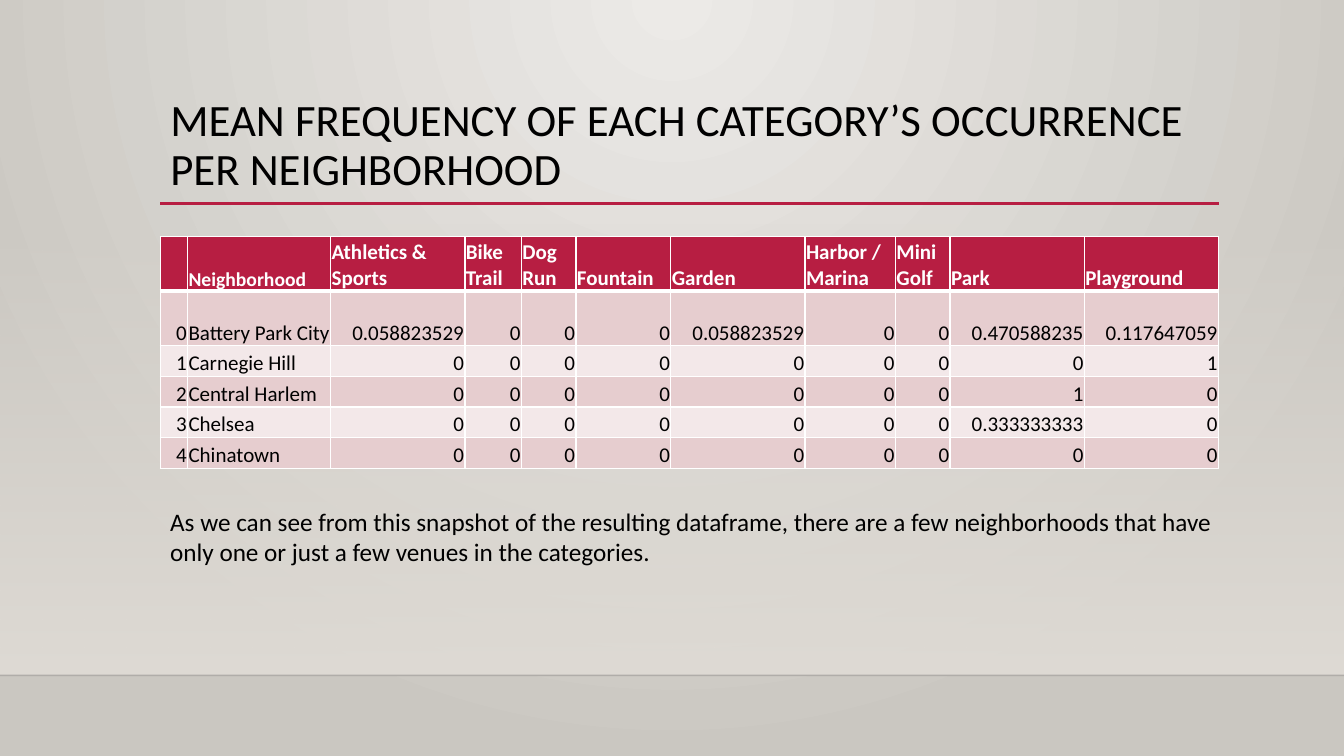
import pptx
import pptx.dml.color
import pptx.enum.shapes
import pptx.enum.text
import pptx.oxml
import pptx.oxml.ns
import pptx.util

Pt = pptx.util.Pt
RGB = pptx.dml.color.RGBColor
qn = pptx.oxml.ns.qn
ALIGN = pptx.enum.text.PP_ALIGN
ANCHOR = pptx.enum.text.MSO_ANCHOR

BLACK = RGB(0x00, 0x00, 0x00)
EDGE = RGB(0x00, 0x00, 0x01)
WHITE = RGB(0xFF, 0xFF, 0xFF)
RED = RGB(0xB7, 0x1E, 0x42)
BANDS = (RGB(0xE6, 0xCD, 0xCF), RGB(0xF3, 0xE8, 0xE9))
GLOW = RGB(0xEC, 0xEA, 0xE7)
STONE = RGB(0xCA, 0xC7, 0xC1)
WALL = RGB(0xDF, 0xDB, 0xD5)

FONT = "Calibri"
WIDTH, HEIGHT = 960, 540
LEFT, CONTENT_WIDTH = 114.5, 756

HEADERS = ["", "Neighborhood", "Athletics & Sports", "Bike Trail", "Dog Run", "Fountain",
           "Garden", "Harbor / Marina", "Mini Golf", "Park", "Playground"]
NEIGHBORHOODS = ["Battery Park City", "Carnegie Hill", "Central Harlem", "Chelsea", "Chinatown"]
# Frequencies other than zero, by neighborhood and category
FREQUENCIES = {
    ("Battery Park City", "Athletics & Sports"): "0.058823529",
    ("Battery Park City", "Garden"): "0.058823529",
    ("Battery Park City", "Park"): "0.470588235",
    ("Battery Park City", "Playground"): "0.117647059",
    ("Carnegie Hill", "Playground"): "1",
    ("Central Harlem", "Park"): "1",
    ("Chelsea", "Park"): "0.333333333",
}
COLUMN_WIDTHS = [19.5, 102.3, 95.9, 40.3, 39, 67.8, 95.9, 64.6, 39, 95.9, 95.8]
ROW_HEIGHTS = [38.9, 38.9] + [21.9] * 4
SUMMARY = ["As we can see from this snapshot of the resulting dataframe, "
           "there are a few neighborhoods that have",
           "only one or just a few venues in the categories."]


def set_all(obj, values):
    for name, value in values.items():
        setattr(obj, name, value)


def add_text(p, text, size, color=BLACK, bold=False):
    r = p.add_run()
    r.text = text
    set_all(r.font, {"name": FONT, "size": Pt(size), "bold": bold})
    r.font.color.rgb = color


def set_gradient(fill, colors):
    fill.gradient()
    for stop, color in zip(fill.gradient_stops, colors):
        stop.color.rgb = color


def set_alpha(element, percent):
    color = next(element.iter(qn("a:srgbClr")))
    color.append(pptx.oxml.parse_xml(
        f'<a:alpha {pptx.oxml.ns.nsdecls("a")} val="{percent * 1000}"/>'))


def add_rule(slide, x, y, width, color, weight):
    line = slide.shapes.add_connector(
        pptx.enum.shapes.MSO_CONNECTOR.STRAIGHT, Pt(x), Pt(y), Pt(x + width), Pt(y))
    line.line.color.rgb = color
    line.line.width = Pt(weight)
    line._element.spPr.append(
        pptx.oxml.parse_xml(f'<a:effectLst {pptx.oxml.ns.nsdecls("a")}/>'))
    return line


def add_backdrop(slide, x, y, width, height):
    # Radial glow from the top
    set_gradient(slide.background.fill, (GLOW, STONE))
    lin = next(slide._element.iter(qn("a:lin")))
    lin.getparent().replace(lin, pptx.oxml.parse_xml(
        f'<a:path {pptx.oxml.ns.nsdecls("a")} path="circle">'
        '<a:fillToRect l="43000" t="0" r="43000" b="100000"/></a:path>'))
    # Wall fading in towards the floor line
    sp = slide.shapes.add_shape(pptx.enum.shapes.MSO_SHAPE.RECTANGLE,
                                Pt(x), Pt(y), Pt(width), Pt(height))
    sp.shadow.inherit = False
    sp.line.fill.background()
    set_gradient(sp.fill, (WALL, WALL))
    sp.fill.gradient_angle = 270
    set_alpha(sp._element.spPr, 0)
    floor = add_rule(slide, x, y + height, width, EDGE, 1)
    set_alpha(floor._element.spPr, 20)


def add_title(slide, x, y, width, height):
    title = slide.shapes.title
    set_all(title, {"left": Pt(x), "top": Pt(y), "width": Pt(width), "height": Pt(height)})
    tf = title.text_frame
    set_all(tf, {"word_wrap": True, "vertical_anchor": ANCHOR.MIDDLE,
                 "auto_size": pptx.enum.text.MSO_AUTO_SIZE.NONE})
    p = tf.paragraphs[0]
    set_all(p, {"alignment": ALIGN.LEFT, "line_spacing": 0.9})
    add_text(p, "MEAN FREQUENCY OF EACH CATEGORY’S OCCURRENCE PER NEIGHBORHOOD", 32)
    add_rule(slide, x, y + height - 0.5, width, RED, 2.5)


def set_borders(cell, weights):
    tcPr = cell._tc.get_or_add_tcPr()
    for i, (side, weight) in enumerate(weights.items()):
        tcPr.insert(i, pptx.oxml.parse_xml(
            f'<a:ln{side} {pptx.oxml.ns.nsdecls("a")} w="{Pt(weight)}"><a:solidFill>'
            f'<a:srgbClr val="{WHITE}"/></a:solidFill></a:ln{side}>'))


def add_frequency_table(slide, x, y, width, height):
    rows = [HEADERS]
    for i, name in enumerate(NEIGHBORHOODS):
        rows.append([str(i), name] + [FREQUENCIES.get((name, h), "0") for h in HEADERS[2:]])
    table = slide.shapes.add_table(len(rows), len(HEADERS),
                                   Pt(x), Pt(y), Pt(width), Pt(height)).table
    for column, w in zip(table.columns, COLUMN_WIDTHS):
        column.width = Pt(w)
    for row, h in zip(table.rows, ROW_HEIGHTS):
        row.height = Pt(h)
    for i, row in enumerate(rows):
        header = i == 0
        for j, text in enumerate(row):
            cell = table.cell(i, j)
            set_all(cell, {"margin_left": Pt(0.7), "margin_right": Pt(0.7),
                           "margin_top": Pt(0.7), "margin_bottom": 0,
                           "vertical_anchor": ANCHOR.BOTTOM})
            cell.fill.solid()
            cell.fill.fore_color.rgb = RED if header else BANDS[(i - 1) % 2]
            set_borders(cell, {"L": 1, "R": 1, "T": 3 if i == 1 else 1, "B": 3 if header else 1})
            p = cell.text_frame.paragraphs[0]
            p.alignment = ALIGN.LEFT if header or j == 1 else ALIGN.RIGHT
            if text:
                size = 14 if header and j == 1 else 15
                add_text(p, text, size, WHITE if header else BLACK, header)


def add_summary(slide, x, y, width, height):
    tf = slide.shapes.add_textbox(Pt(x), Pt(y), Pt(width), Pt(height)).text_frame
    set_all(tf, {"word_wrap": False,
                 "auto_size": pptx.enum.text.MSO_AUTO_SIZE.SHAPE_TO_FIT_TEXT})
    for i, text in enumerate(SUMMARY):
        p = tf.add_paragraph() if i else tf.paragraphs[0]
        p.alignment = ALIGN.LEFT
        add_text(p, text, 18)


def main():
    prs = pptx.Presentation()
    set_all(prs, {"slide_width": Pt(WIDTH), "slide_height": Pt(HEIGHT)})
    slide = prs.slides.add_slide(prs.slide_layouts[5])
    add_backdrop(slide, 0, 159, WIDTH, 323.4)
    add_title(slide, LEFT, 63.4, CONTENT_WIDTH, 82.6)
    add_frequency_table(slide, LEFT, 169.2, CONTENT_WIDTH, sum(ROW_HEIGHTS))
    add_summary(slide, LEFT, 357.8, 760.3, 50.9)
    prs.save("out.pptx")


if __name__ == "__main__":
    main()
